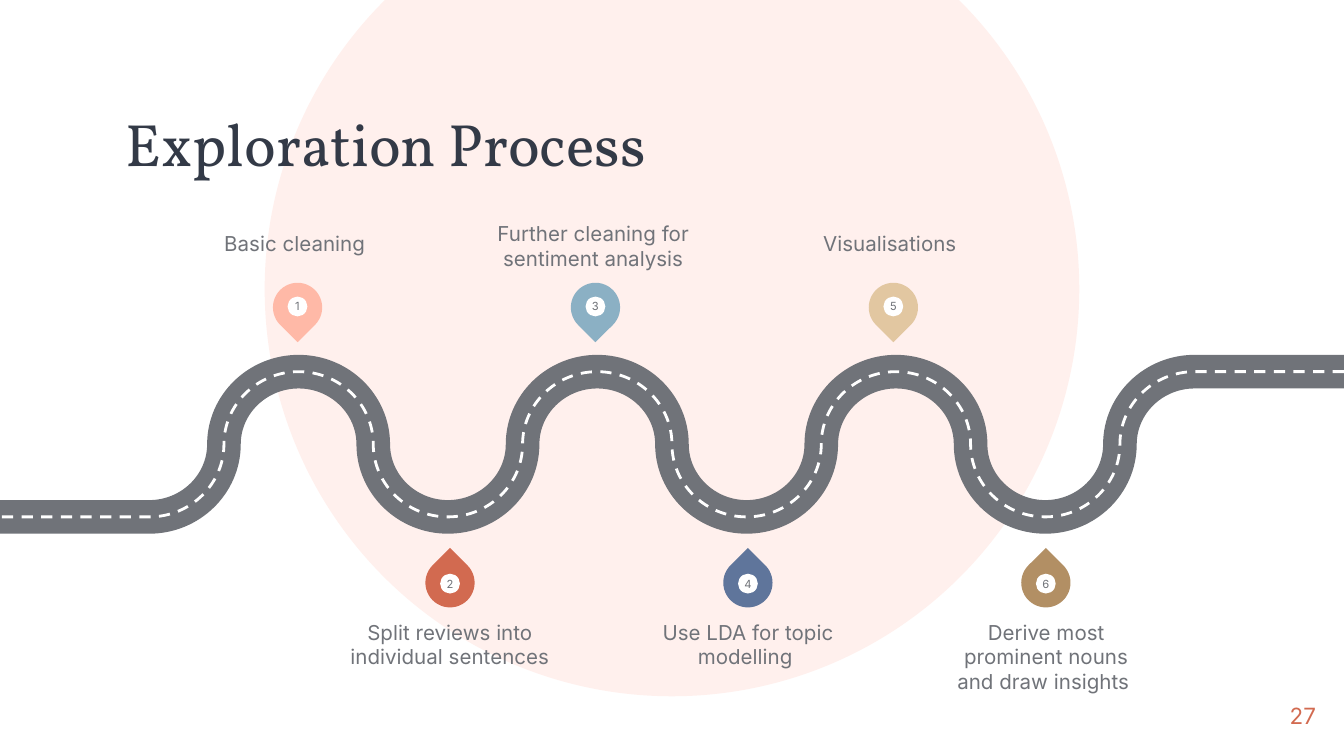
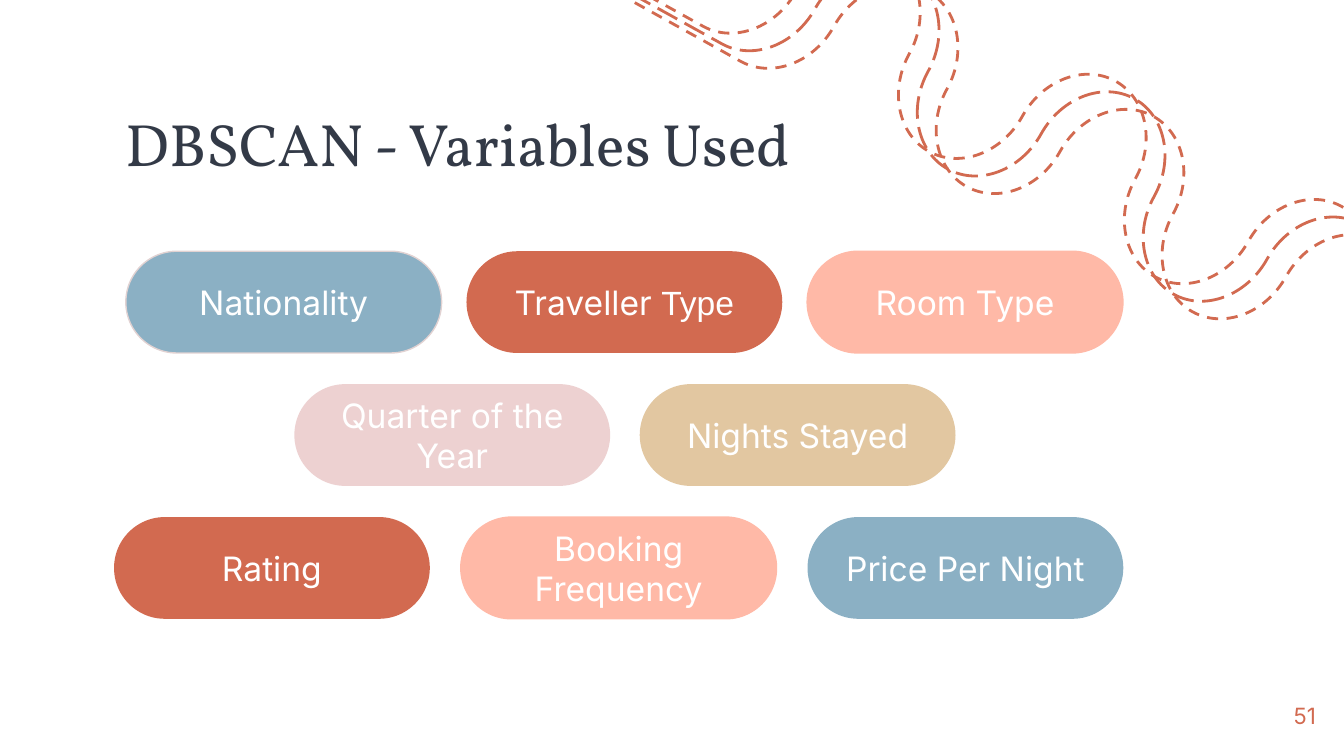
from dataclasses import dataclass

from lxml.etree import SubElement
from pptx import Presentation
from pptx.dml.color import RGBColor
from pptx.enum.dml import MSO_LINE
from pptx.enum.shapes import MSO_SHAPE
from pptx.enum.text import MSO_ANCHOR, PP_ALIGN
from pptx.oxml.ns import qn
from pptx.util import Pt


@dataclass(frozen=True)
class Theme:
    ink: str = "333A47"
    gray: str = "707379"
    white: str = "FFFFFF"
    blush: str = "FFF0ED"
    peach: str = "FFB9A7"
    rust: str = "D26A50"
    sky: str = "8BB0C4"
    navy: str = "5F759B"
    sand: str = "E2C7A1"
    tan: str = "B28F64"
    rose: str = "E7C1C1"
    edge: str = "E1D2D2"
    head: str = "Vollkorn"
    body: str = "Inter"
    plain: str = "Arial"
    title: float = 32
    pill: float = 18
    page: float = 12
    label: float = 11
    dot: float = 6


T = Theme()
WIDE, HIGH = 720, 405
ROUND = 0.55  # handle length of a quarter bend

PINS = [T.peach, T.rust, T.sky, T.navy, T.sand, T.tan]

# text, left, top, width, height
LABELS = [
    ("Basic cleaning ", 108.7, 122, 101.5, 15),
    ("Split reviews into individual sentences", 179.8, 332, 122.5, 42),
    ("Further cleaning for sentiment analysis", 259.1, 103, 117.5, 42),
    ("Use LDA for topic modelling ", 350, 332, 101.5, 42),
    ("Visualisations", 426, 122, 101.5, 15),
    ("Derive most prominent nouns and draw insights ", 509.7, 332, 101.5, 42),
]

# left, step, pills as (runs, fill, line, alpha)
ROWS = [
    (67.4, 182.5, [
        ([("Nationality", T.body)], T.sky, T.edge, None),
        ([("Traveller ", T.body), ("Type", T.plain)], T.rust, None, None),
        ([("Room Type", T.body)], T.peach, T.peach, None),
    ]),
    (157.7, 185, [
        ([("Quarter of the Year", T.body)], T.rose, None, 74),
        ([("Nights Stayed", T.body)], T.sand, None, None),
    ]),
    (61.1, 185.75, [
        ([("Rating", T.body)], T.rust, None, None),
        ([("Booking Frequency", T.body)], T.peach, T.peach, None),
        ([("Price Per Night", T.body)], T.sky, None, None),
    ]),
]


def rgb(code):
    return RGBColor.from_string(code)


def write(shape, runs, size, color, align=PP_ALIGN.CENTER,
          anchor=MSO_ANCHOR.MIDDLE, inset=0, space=None):
    """Fill a shape with one paragraph of (text, font) runs."""
    frame = shape.text_frame
    look = {"word_wrap": True, "vertical_anchor": anchor}
    for side in ("left", "top", "right", "bottom"):
        look[f"margin_{side}"] = Pt(inset)
    for key, value in look.items():
        setattr(frame, key, value)
    para = frame.paragraphs[0]
    para.alignment = align
    if space:
        para.line_spacing = space
    for text, name in runs:
        run = para.add_run()
        run.text = text
        for key, value in {"name": name, "size": Pt(size)}.items():
            setattr(run.font, key, value)
        run.font.color.rgb = rgb(color)


def add_text(slide, box, text, size, color, name=T.body, **format):
    shape = slide.shapes.add_textbox(*map(Pt, box))
    write(shape, [(text, name)], size, color, **format)


def add_form(shapes, kind, box, fill, line=None, turn=0, alpha=None):
    shape = shapes.add_shape(kind, *map(Pt, box))
    shape.shadow.inherit = False
    shape.rotation = turn
    shape.fill.solid()
    shape.fill.fore_color.rgb = rgb(fill)
    if alpha:
        color = shape.fill._xPr.find(".//" + qn("a:srgbClr"))
        SubElement(color, qn("a:alpha")).set("val", str(alpha * 1000))
    if line:
        shape.line.color.rgb = rgb(line)
        shape.line.width = Pt(0.75)
    else:
        shape.line.fill.background()
    return shape


def trace(step, high):
    """Joints of a winding road, from its high right end to its low left."""
    levels = (0, high / 2, high, high / 2)
    bends = [(step * (8 - part / 2), levels[part % 4]) for part in range(15)]
    return [(9 * step, 0), *bends, (0, high)]


def bend_lines(road):
    """Turn every line but the two ends into a quarter bend."""
    lines = list(road._element.iter(qn("a:lnTo")))
    spots = [(int(line[0].get("x")), int(line[0].get("y"))) for line in lines]
    for index in range(1, len(lines) - 1):
        (x1, y1), (x2, y2) = spots[index - 1:index + 1]
        dx, dy = (x2 - x1) * ROUND, (y2 - y1) * ROUND
        if index % 2:
            grips = [(x1 + dx, y1), (x2, y2 - dy)]
        else:
            grips = [(x1, y1 + dy), (x2 - dx, y2)]
        line = lines[index]
        curve = line.getparent().makeelement(qn("a:cubicBezTo"))
        for x, y in [*grips, (x2, y2)]:
            SubElement(curve, qn("a:pt"), x=str(round(x)), y=str(round(y)))
        line.getparent().replace(line, curve)


def add_road(slide, left, top, step, high, color, width, dash=None, turn=0):
    points = [(Pt(left + x), Pt(top + y)) for x, y in trace(step, high)]
    pen = slide.shapes.build_freeform(*points[0], scale=1.0)
    pen.add_line_segments(points[1:], close=False)
    road = pen.convert_to_shape()
    bend_lines(road)
    road.shadow.inherit = False
    road.rotation = turn
    road.fill.background()
    road.line.color.rgb = rgb(color)
    for key, value in {"width": Pt(width), "dash_style": dash}.items():
        setattr(road.line, key, value)


def add_pin(slide, index, color):
    """Odd numbers hang above the road, even ones stand below it."""
    pair, below = divmod(index, 2)
    mid = (241.1 if below else 159.4) + 159.6 * pair
    top, nudge, turn = (299, 0.5, 315) if below else (151.5, -0.5, 135)
    size, dot = 26.4, 10.6
    shapes = slide.shapes.add_group_shape().shapes
    add_form(shapes, MSO_SHAPE.TEAR, (mid - size / 2, top, size, size),
             color, turn=turn)
    gap = (size - dot) / 2
    disc = add_form(shapes, MSO_SHAPE.OVAL,
                    (mid - dot / 2, top + gap + nudge, dot, dot), T.white)
    write(disc, [(str(index + 1), T.body)], T.dot, T.gray)


def add_title(slide, text, width):
    add_text(slide, (67.4, 59.4, width, 38.4), text, T.title, T.ink, T.head,
             align=PP_ALIGN.LEFT, space=0.9)


def add_page(slide, number):
    add_text(slide, (661.8, 368, 43.2, 31), str(number), T.page, T.rust,
             align=PP_ALIGN.RIGHT)


def new_slide(deck):
    slide = deck.slides.add_slide(deck.slide_layouts[6])
    slide.background.fill.solid()
    slide.background.fill.fore_color.rgb = rgb(T.white)
    return slide


def draw_process(deck):
    slide = new_slide(deck)
    sun = add_form(slide.shapes, MSO_SHAPE.CHORD,
                   (141.8, -63.4, 436.4, 436.4), T.blush, turn=270)
    sun.adjustments[0] = 26.74
    sun.adjustments[1] = 189.22
    for index, color in reversed(list(enumerate(PINS))):
        add_pin(slide, index, color)
    add_title(slide, "Exploration Process", 358.5)
    add_page(slide, 27)
    for color, width, dash in ((T.gray, 18, None),
                               (T.white, 1.5, MSO_LINE.DASH)):
        add_road(slide, 0, 199.1, 80, 77.8, color, width, dash)
    for index, (text, *box) in enumerate(LABELS):
        anchor = MSO_ANCHOR.TOP if index % 2 else MSO_ANCHOR.BOTTOM
        add_text(slide, box, text, T.label, T.gray, anchor=anchor)


def draw_pills(deck):
    slide = new_slide(deck)
    dashes = (MSO_LINE.DASH, MSO_LINE.LONG_DASH, MSO_LINE.DASH)
    for lane, dash in enumerate(dashes):
        add_road(slide, 296.8 + 10.1 * lane, 55.2 + 9.4 * lane, 69.2, 81.4,
                 T.rust, 1.5, dash, turn=29)
    add_title(slide, "DBSCAN - Variables Used", 447)
    add_page(slide, 51)
    for row, (left, step, pills) in enumerate(ROWS):
        for col, (runs, fill, line, alpha) in enumerate(pills):
            box = (left + step * col, 134.6 + 71.2 * row, 169.2, 54.5)
            pill = add_form(slide.shapes, MSO_SHAPE.FLOWCHART_TERMINATOR,
                            box, fill, line, alpha=alpha)
            write(pill, runs, T.pill, T.white, inset=7.2)


def main():
    deck = Presentation()
    deck.slide_width, deck.slide_height = Pt(WIDE), Pt(HIGH)
    draw_process(deck)
    draw_pills(deck)
    deck.save("out.pptx")


if __name__ == "__main__":
    main()
